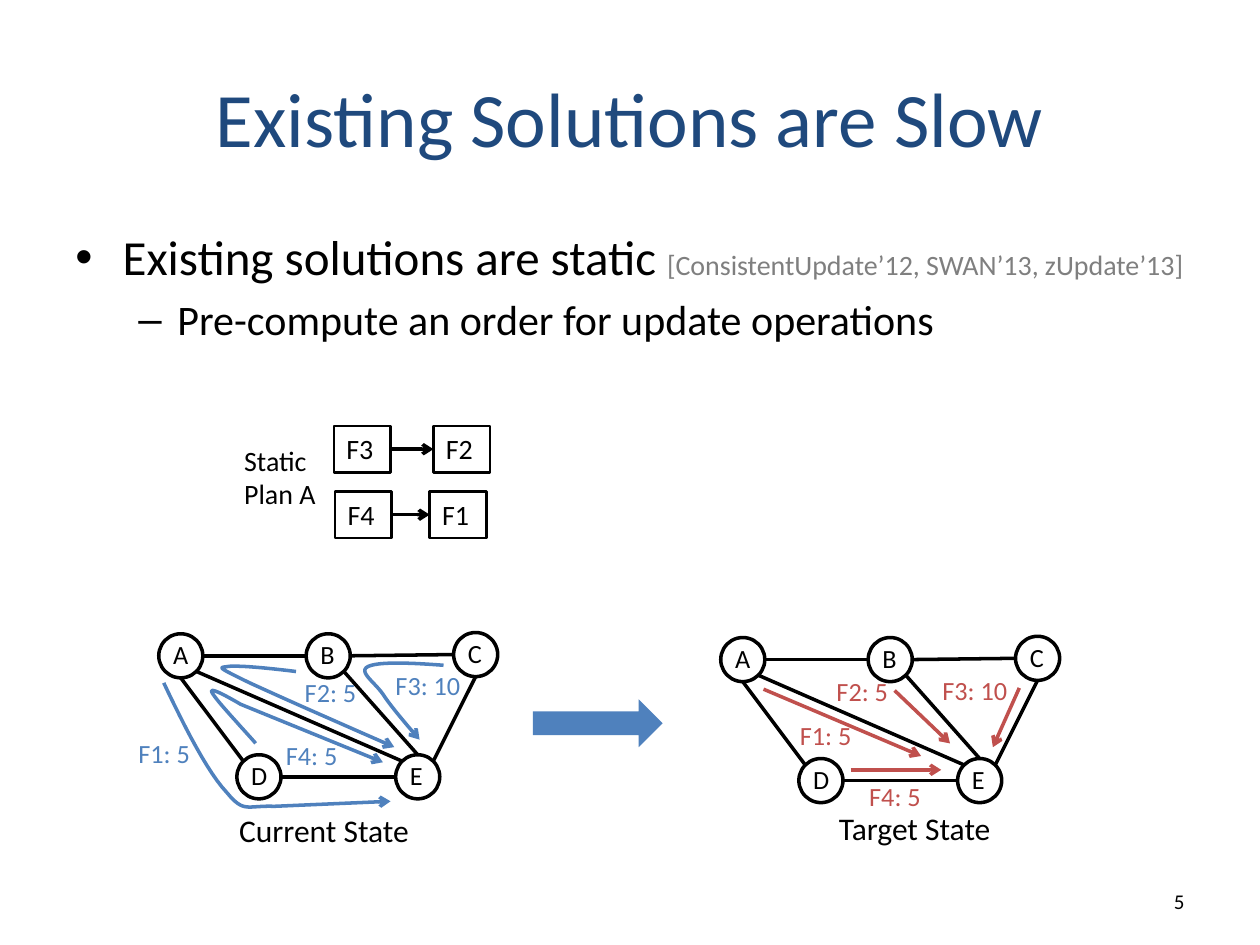
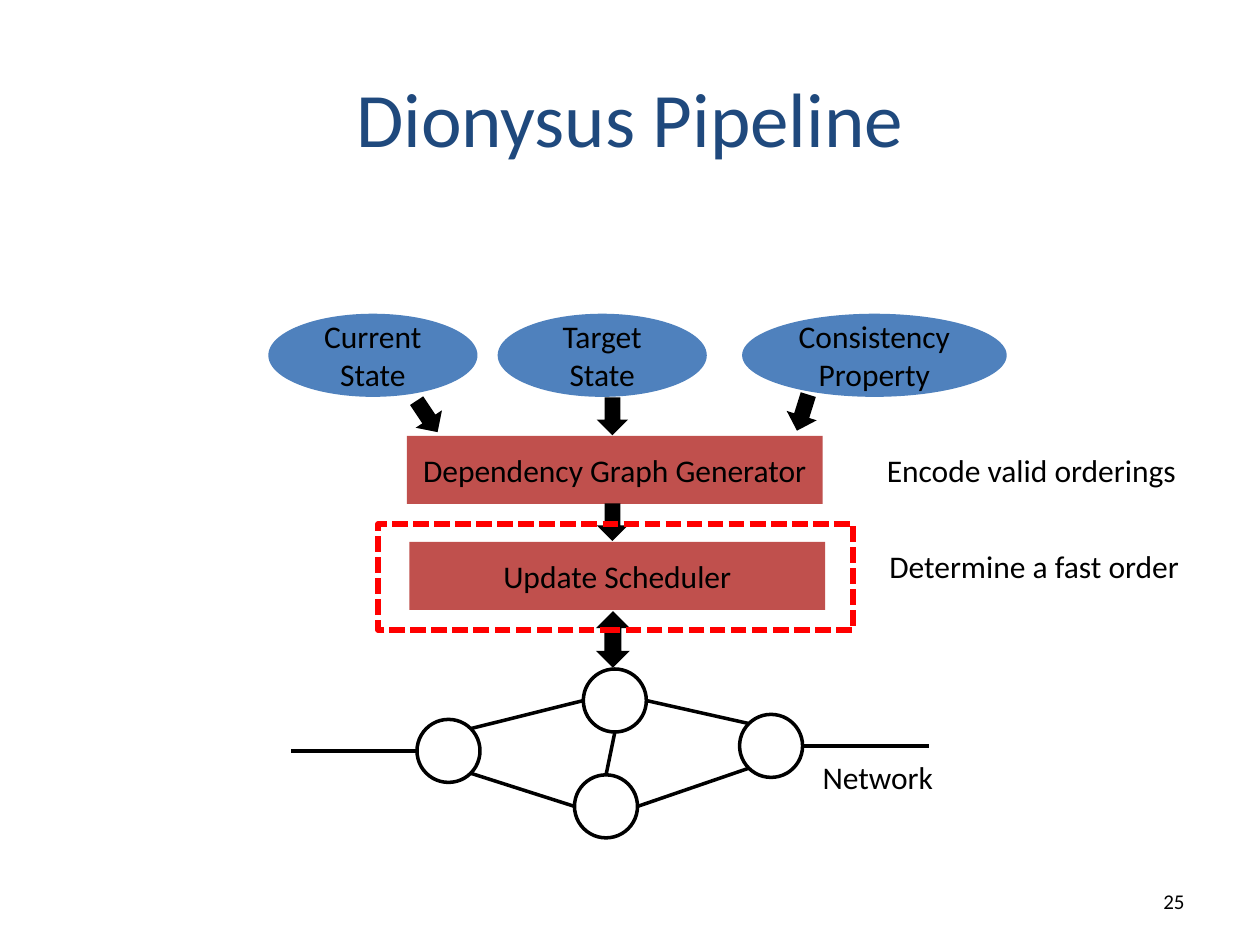
from collections import namedtuple

from lxml import etree
from pptx import Presentation
from pptx.dml.color import RGBColor
from pptx.enum.dml import MSO_LINE
from pptx.enum.shapes import MSO_CONNECTOR, MSO_SHAPE
from pptx.enum.text import MSO_ANCHOR, PP_ALIGN
from pptx.oxml.ns import qn
from pptx.util import Inches, Pt

LEFT, CENTER, RIGHT = PP_ALIGN.LEFT, PP_ALIGN.CENTER, PP_ALIGN.RIGHT
TOP, MIDDLE = MSO_ANCHOR.TOP, MSO_ANCHOR.MIDDLE
RECTANGLE, ELLIPSE = MSO_SHAPE.RECTANGLE, MSO_SHAPE.OVAL
RIGHT_ARROW, UP_DOWN_ARROW = MSO_SHAPE.RIGHT_ARROW, MSO_SHAPE.UP_DOWN_ARROW
STRAIGHT, SHORT_DASH = MSO_CONNECTOR.STRAIGHT, MSO_LINE.SQUARE_DOT

FONT = "Calibri"
COLORS = {
    "title": "1F497D", "ink": "000000", "muted": "7F7F7F", "paper": "FFFFFF",
    "blue": "4F81BD", "red": "C0504D", "alert": "FF0000",
}

# The page is a grid of 100 columns by 75 rows; every length is in its cells
COLUMNS = 100
deck = Presentation()
deck.slide_width, deck.slide_height = Inches(10), Inches(7.5)
CELL = deck.slide_width / COLUMNS

Box = namedtuple("Box", "left top width height")
Node = namedtuple("Node", "x y size")

# Unit steps from the centre of a node to its rim
DIAGONAL = 0.71
COMPASS = {
    "N": (0, -1), "S": (0, 1), "W": (-1, 0), "E": (1, 0),
    "NW": (-DIAGONAL, -DIAGONAL), "NE": (DIAGONAL, -DIAGONAL),
    "SW": (-DIAGONAL, DIAGONAL), "SE": (DIAGONAL, DIAGONAL),
}


def emu(*cells):
    return [round(cell * CELL) for cell in cells]


def color(name):
    return RGBColor.from_string(COLORS[name])


def inside(box, x, y, width, height):
    return Box(box.left + x, box.top + y, width, height)


# ---- Text and shapes ----
def add_span(para, text, size, ink="ink"):
    span = para.add_run()
    span.text = text
    for name, value in {"name": FONT, "size": Pt(size)}.items():
        setattr(span.font, name, value)
    span.font.color.rgb = color(ink)


def write(shape, text, size, ink="ink", align=LEFT, anchor=TOP):
    frame = shape.text_frame
    frame.word_wrap = True
    frame.vertical_anchor = anchor
    for number, line in enumerate(text.split("\n")):
        para = frame.add_paragraph() if number else frame.paragraphs[0]
        para.alignment = align
        add_span(para, line, size, ink)


def add_label(page, box, text, size, **style):
    write(page.shapes.add_textbox(*emu(*box)), text, size, **style)


def set_line(shape, ink, width, arrow=False):
    shape.line.color.rgb = color(ink)
    shape.line.width = Pt(width)
    if arrow:
        outline = shape.element.spPr.find(qn("a:ln"))
        etree.SubElement(outline, qn("a:tailEnd"), type="arrow")


def add_block(page, kind, box, fill=None, line=None, width=2, turn=0):
    block = page.shapes.add_shape(kind, *emu(*box))
    block.shadow.inherit = False
    block.rotation = turn
    if fill:
        block.fill.solid()
        block.fill.fore_color.rgb = color(fill)
    else:
        block.fill.background()
    if line:
        set_line(block, line, width)
    else:
        block.line.fill.background()
    return block


def add_link(page, start, end, ink="ink", arrow=False):
    link = page.shapes.add_connector(STRAIGHT, *emu(*start, *end))
    set_line(link, ink, 2, arrow)
    etree.SubElement(link.element.spPr, qn("a:effectLst"))


# ---- Curves ----
def bezier(start, first, second, end, steps=12):
    for step in range(1, steps + 1):
        t = step / steps
        weights = ((1 - t) ** 3, 3 * t * (1 - t) ** 2, 3 * t * t * (1 - t), t ** 3)
        yield tuple(sum(weight * point[axis] for weight, point
                        in zip(weights, (start, first, second, end)))
                    for axis in (0, 1))


def add_flow(page, box, start, steps, ink):
    """A step is one point for a straight part, three for a cubic curve."""
    points = [start]
    for step in steps:
        points += step if len(step) == 1 else list(bezier(points[-1], *step))
    points = [(box.left + x, box.top + y) for x, y in points]
    if len(points) == 2:
        add_link(page, *points, ink, arrow=True)
        return
    builder = page.shapes.build_freeform(*emu(*points[0]))
    builder.add_line_segments([emu(*point) for point in points[1:]], close=False)
    curve = builder.convert_to_shape()
    curve.shadow.inherit = False
    curve.fill.background()
    set_line(curve, ink, 2, arrow=True)


# ---- Graphs ----
def rim(box, node, side):
    radius = node.size / 2
    across, down = COMPASS[side]
    return (box.left + node.x + radius * (1 + across),
            box.top + node.y + radius * (1 + down))


def add_graph(page, box, nodes, edges, fill=None):
    for start, start_side, end, end_side in edges:
        add_link(page, rim(box, nodes[start], start_side),
                 rim(box, nodes[end], end_side))
    for node in nodes.values():
        add_block(page, ELLIPSE, inside(box, node.x, node.y, node.size, node.size),
                  fill=fill, line="ink")


SWITCHES = {
    "A": Node(0, 0.1, 3.5), "B": Node(11.7, 0.1, 3.5), "C": Node(23.4, 0, 3.5),
    "D": Node(6.2, 9.7, 3.5), "E": Node(18.8, 9.7, 3.5),
}
SWITCH_EDGES = [
    ("A", "E", "B", "W"), ("B", "E", "C", "W"), ("A", "S", "D", "NW"),
    ("A", "SE", "E", "NW"), ("D", "E", "E", "W"), ("C", "S", "E", "NE"),
    ("B", "SE", "E", "N"),
]


def add_state(page, box, caption, ink, flows):
    add_graph(page, box, SWITCHES, SWITCH_EDGES)
    for name, node in SWITCHES.items():
        add_label(page, inside(box, node.x + 0.15, node.y - 0.1, 7.9, 3.5), name, 15)
    for text, place, start, steps in flows:
        add_flow(page, box, start, steps, ink)
        add_label(page, inside(box, *place, 9.8, 3.5), text, 15, ink=ink)
    text, x, y = caption
    add_label(page, inside(box, x, y, 15.8, 4), text, 18)


# ---- Page parts ----
def add_page(title, number):
    page = deck.slides.add_slide(deck.slide_layouts[6])
    add_label(page, Box(5, 3, 90, 12.5), title, 44, ink="title",
              align=CENTER, anchor=MIDDLE)
    add_label(page, Box(71.7, 69.5, 23.3, 4), str(number), 12,
              align=RIGHT, anchor=MIDDLE)
    return page


def add_bullets(page, box, items):
    frame = page.shapes.add_textbox(*emu(*box)).text_frame
    frame.word_wrap = True
    for number, (mark, indent, hang, spans) in enumerate(items):
        para = frame.add_paragraph() if number else frame.paragraphs[0]
        para.space_before = Pt(0.2 * spans[0][1])
        for span in spans:
            add_span(para, *span)
        layout = para._p.get_or_add_pPr()
        for name, cells in {"marL": indent, "indent": -hang}.items():
            layout.set(name, str(emu(cells)[0]))
        etree.SubElement(layout, qn("a:buFont"), typeface="Arial")
        etree.SubElement(layout, qn("a:buChar"), char=mark)


def add_plan(page, box, title, chains):
    add_label(page, inside(box, 0, 0.9, 9.3, 6.4), title, 16)
    width, height = 4.5, 3.7
    for y, (first, first_x), (second, second_x) in chains:
        for text, x in ((first, first_x), (second, second_x)):
            write(add_block(page, RECTANGLE, inside(box, x, y, width, height),
                            line="ink", width=1.5), text, 16)
        middle = box.top + y + height / 2
        add_link(page, (box.left + first_x + width, middle),
                 (box.left + second_x, middle), arrow=True)


def add_pipeline(page, box):
    # Stages, with the arrow between them
    for x, y, text in ((0.2, 9.7, "Dependency Graph Generator"),
                       (0.4, 18.1, "Update Scheduler")):
        stage = add_block(page, RECTANGLE, inside(box, 10.8 + x, y, 33, 5.4), fill="red")
        write(stage, text, 18, align=CENTER, anchor=MIDDLE)
    # Inputs
    for x, width, text in ((0, 16.6, "Current\nState"), (18.2, 16.6, "Target\nState"),
                           (37.6, 21, "Consistency\nProperty")):
        source = add_block(page, ELLIPSE, inside(box, x, 0, width, 6.6), fill="blue")
        write(source, text, 18, align=CENTER, anchor=MIDDLE)
    # Arrows down the pipeline
    for x, y, turn in ((11.1, 6.9, 56.3), (25.8, 6.9, 90), (40.9, 6.6, 107.4),
                       (25.8, 15.3, 90)):
        add_block(page, RIGHT_ARROW, inside(box, x, y, 3, 2.5), fill="ink", turn=turn)
    add_block(page, UP_DOWN_ARROW, inside(box, 26, 23.6, 2.7, 4.5), fill="ink")
    # Highlighted stage
    frame = add_block(page, RECTANGLE, inside(box, 8.7, 16.7, 37.7, 8.4),
                      line="alert", width=3)
    frame.line.dash_style = SHORT_DASH
    # Remarks beside the stages
    for x, y, text in ((48.1, 10.4, "Encode valid orderings"),
                       (48.3, 18, "Determine a fast order")):
        add_label(page, inside(box, x, y, 28.3, 4), text, 18)


def add_network(page, box):
    nodes = {"left": Node(10, 4, 5), "top": Node(23.2, 0, 5),
             "bottom": Node(22.5, 8.4, 5), "right": Node(35.6, 3.6, 5)}
    edges = [("top", "W", "left", "NE"), ("bottom", "W", "left", "SE"),
             ("right", "NW", "top", "E"), ("right", "SW", "bottom", "E"),
             ("top", "S", "bottom", "N")]
    add_graph(page, box, nodes, edges, fill="paper")
    for name, side, reach in (("left", "W", -10), ("right", "E", 10)):
        x, y = rim(box, nodes[name], side)
        add_link(page, (x, y), (x + reach, y))
    add_label(page, inside(box, 41.2, 6.6, 11.6, 4), "Network", 18)


# ---- Existing solutions ----
page = add_page("Existing Solutions are Slow", 5)
add_bullets(page, Box(5, 17.5, 93.2, 49.5), [
    ("•", 3.75, 3.75, [("Existing solutions are static ", 28),
                       ("[ConsistentUpdate’12, SWAN’13, zUpdate’13]", 16, "muted")]),
    ("–", 8.1, 3.1, [("Pre-compute an order for update operations", 24)]),
])
add_plan(page, Box(18.4, 33.8, 20.5, 8.9), "Static\nPlan A", [
    (0, ("F3", 8.1), ("F2", 16)),
    (5.2, ("F4", 8.2), ("F1", 15.7)),
])
add_block(page, RIGHT_ARROW, Box(42.3, 55.5, 10.3, 3.8), fill="blue")
add_state(page, Box(12.6, 50.2, 26.9, 17.7), ("Current State", 5.4, 13.7), "blue", [
    ("F3: 10", (17.8, 2.4), (22.6, 2.6),
     [[(20, 2.4), (17.4, 2.3), (16.6, 2.7)], [(15.8, 3.1), (17.1, 3.9), (17.8, 4.9)],
      [(18.4, 5.9), (20.7, 8.5), (20.7, 8.5)]]),
    ("F2: 5", (10.6, 3), (10.9, 3.1),
     [[(8.5, 2.8), (6.2, 2.6), (5.5, 2.7)], [(4.8, 2.8), (4.6, 2.7), (6.8, 3.8)],
      [(9.1, 4.9), (18.7, 9.1), (18.7, 9.1)]]),
    ("F4: 5", (9.1, 8), (7.7, 8.8),
     [[(6.1, 7), (4.4, 5.2), (4.2, 4.7)], [(4, 4.2), (6.5, 5.7), (6.5, 5.7)],
      [(17.8, 10.3)]]),
    ("F1: 5", (-2.6, 7.8), (0.4, 4),
     [[(2.1, 7.6), (3.9, 11.1), (5.4, 12.7)], [(6.8, 14.4), (7, 13.7), (9.2, 13.8)],
      [(18.4, 13.4)]]),
])
add_state(page, Box(57.2, 50.5, 26.9, 17.2), ("Target State", 8.4, 13.2), "red", [
    ("F3: 10", (16.6, 2.5), (23.7, 4.1), [[(21.6, 8.8)]]),
    ("F2: 5", (8.2, 2.6), (13.8, 4.3), [[(18.2, 8.5)]]),
    ("F4: 5", (10.8, 10.9), (10.3, 10.6), [[(17.5, 10.6)]]),
    ("F1: 5", (5.3, 6.1), (3.4, 4.2), [[(15.9, 9.5)]]),
])

# ---- Pipeline ----
page = add_page("Dionysus Pipeline", 25)
add_network(page, Box(23.1, 53.1, 52.8, 13.4))
add_pipeline(page, Box(21.3, 24.9, 76.6, 28.1))

deck.save("out.pptx")
